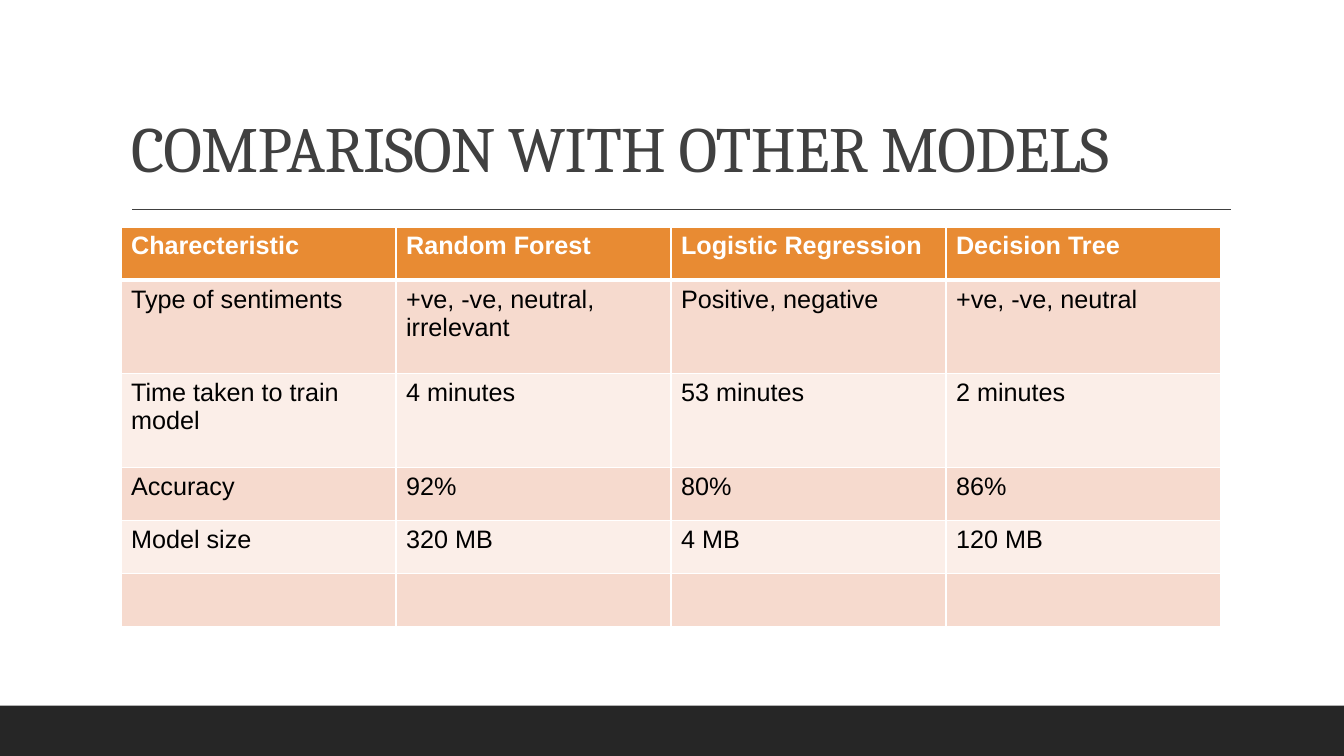
import pptx
import pptx.dml.color
import pptx.enum.shapes
import pptx.enum.text
import pptx.oxml
import pptx.oxml.ns
import pptx.util
from pptx.dml.color import RGBColor
from pptx.util import Cm

WHITE = RGBColor(0xFF, 0xFF, 0xFF)
BLACK = RGBColor(0x00, 0x00, 0x00)
CHARCOAL = RGBColor(0x26, 0x26, 0x26)
GREY = RGBColor(0x40, 0x40, 0x40)
ORANGE = RGBColor(0xE8, 0x8B, 0x33)
PEACH = RGBColor(0xF6, 0xDA, 0xCE)
PALE_PEACH = RGBColor(0xFB, 0xEE, 0xE8)

ROWS = [
    ("Charecteristic", "Random Forest", "Logistic Regression", "Decision Tree"),
    ("Type of sentiments", "+ve, -ve, neutral, irrelevant", "Positive, negative", "+ve, -ve, neutral"),
    ("Time taken to train model", "4 minutes", "53 minutes", "2 minutes"),
    ("Accuracy", "92%", "80%", "86%"),
    ("Model size", "320 MB", "4 MB", "120 MB"),
    ("", "", "", ""),
]
ROW_HEIGHTS = [Cm(h) for h in (1.34, 2.36, 2.36, 1.34, 1.34, 1.34)]


def add_run(p, text, font, size, color, bold=False):
    r = p.add_run()
    r.text = text
    r.font.name = font
    r.font.size = pptx.util.Pt(size)
    r.font.color.rgb = color
    r.font.bold = bold
    return r


def add_footer_band(slide, left, top, width, height):
    sp = slide.shapes.add_shape(pptx.enum.shapes.MSO_SHAPE.RECTANGLE, left, top, width, height)
    sp.shadow.inherit = False
    sp.fill.solid()
    sp.fill.fore_color.rgb = CHARCOAL
    sp.line.fill.background()


def add_title(slide, left, top, width, height):
    """Fill the title placeholder and draw the rule below it."""
    title = slide.shapes.title
    title.left, title.top, title.width, title.height = left, top, width, height
    tf = title.text_frame
    tf.word_wrap = True
    tf.auto_size = pptx.enum.text.MSO_AUTO_SIZE.NONE
    tf.vertical_anchor = pptx.enum.text.MSO_ANCHOR.BOTTOM
    p = tf.paragraphs[0]
    p.alignment = pptx.enum.text.PP_ALIGN.LEFT
    p.line_spacing = 0.9
    p.space_before = pptx.util.Pt(0)
    r = add_run(p, "COMPARISON WITH OTHER MODELS", "Cambria", 46, GREY)
    r.font._element.set("spc", "-50")

    rule_left, rule_y = left + Cm(0.28), top + height + Cm(0.45)
    rule = slide.shapes.add_connector(
        pptx.enum.shapes.MSO_CONNECTOR.STRAIGHT, rule_left, rule_y, rule_left + Cm(27.68), rule_y)
    rule.line.color.rgb = GREY
    rule.line.width = pptx.util.Pt(1)
    rule._element.spPr.append(pptx.oxml.parse_xml(
        f'<a:effectLst {pptx.oxml.ns.nsdecls("a")}/>'))


def style_cell(cell, fill, top_width, bottom_width):
    """Set the fill and white borders, with widths in points."""
    cell.fill.solid()
    cell.fill.fore_color.rgb = fill
    tcPr = cell._tc.get_or_add_tcPr()
    sides = (("L", 1), ("R", 1), ("T", top_width), ("B", bottom_width))
    for i, (side, width) in enumerate(sides):
        tcPr.insert(i, pptx.oxml.parse_xml(
            f'<a:ln{side} {pptx.oxml.ns.nsdecls("a")} w="{pptx.util.Pt(width)}">'
            f'<a:solidFill><a:srgbClr val="{WHITE}"/></a:solidFill></a:ln{side}>'))


def add_comparison_table(slide, left, top, width):
    table = slide.shapes.add_table(
        len(ROWS), len(ROWS[0]), left, top, width, sum(ROW_HEIGHTS)).table
    for i, texts in enumerate(ROWS):
        table.rows[i].height = ROW_HEIGHTS[i]
        header = i == 0
        fill = ORANGE if header else PEACH if i % 2 else PALE_PEACH
        for j, text in enumerate(texts):
            cell = table.cell(i, j)
            style_cell(cell, fill, 3 if i == 1 else 1, 3 if header else 1)
            if text:
                add_run(cell.text_frame.paragraphs[0], text, "Arial", 18,
                        WHITE if header else BLACK, header)


def main():
    prs = pptx.Presentation()
    prs.slide_width, prs.slide_height = Cm(33.87), Cm(19.05)
    slide = prs.slides.add_slide(prs.slide_layouts[5])
    add_footer_band(slide, 0, Cm(17.78), prs.slide_width, Cm(1.27))
    add_title(slide, Cm(3.05), Cm(0.79), Cm(27.94), Cm(4.04))
    add_comparison_table(slide, Cm(3.05), Cm(5.72), Cm(27.72))
    prs.save("out.pptx")


if __name__ == "__main__":
    main()
